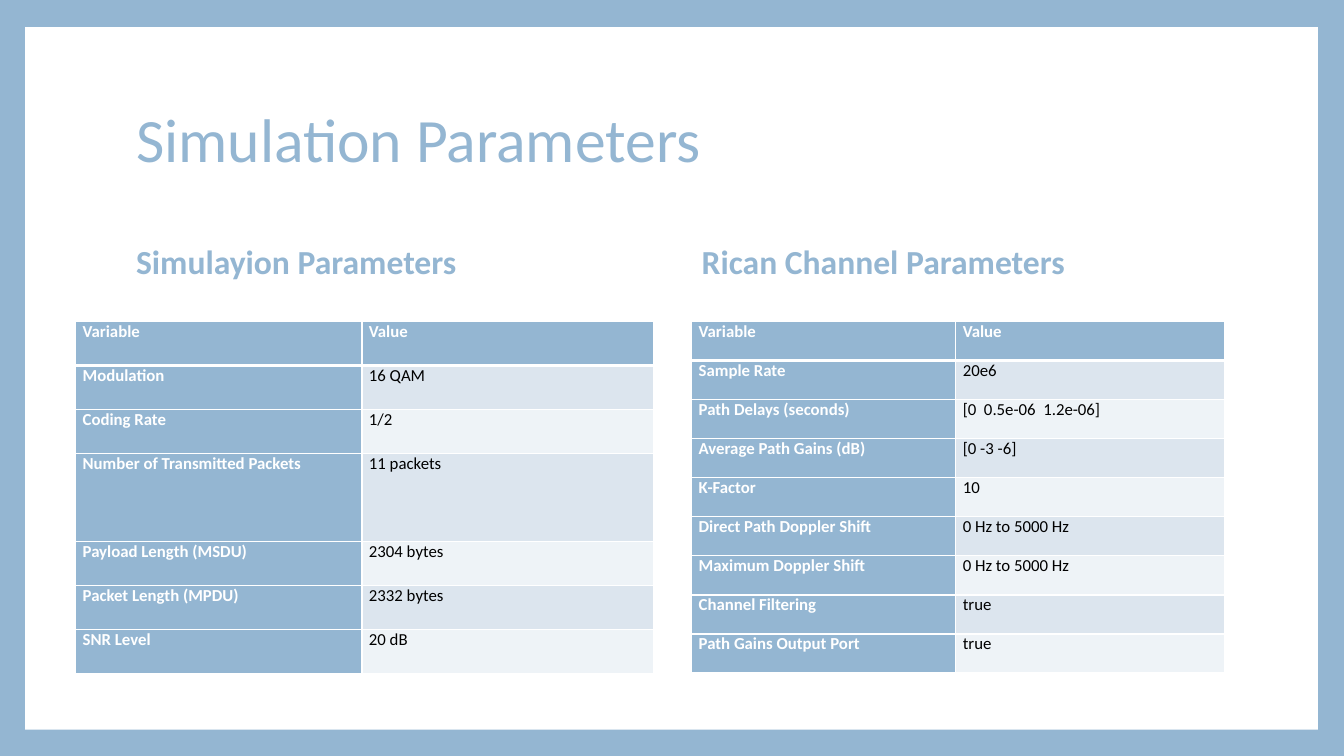
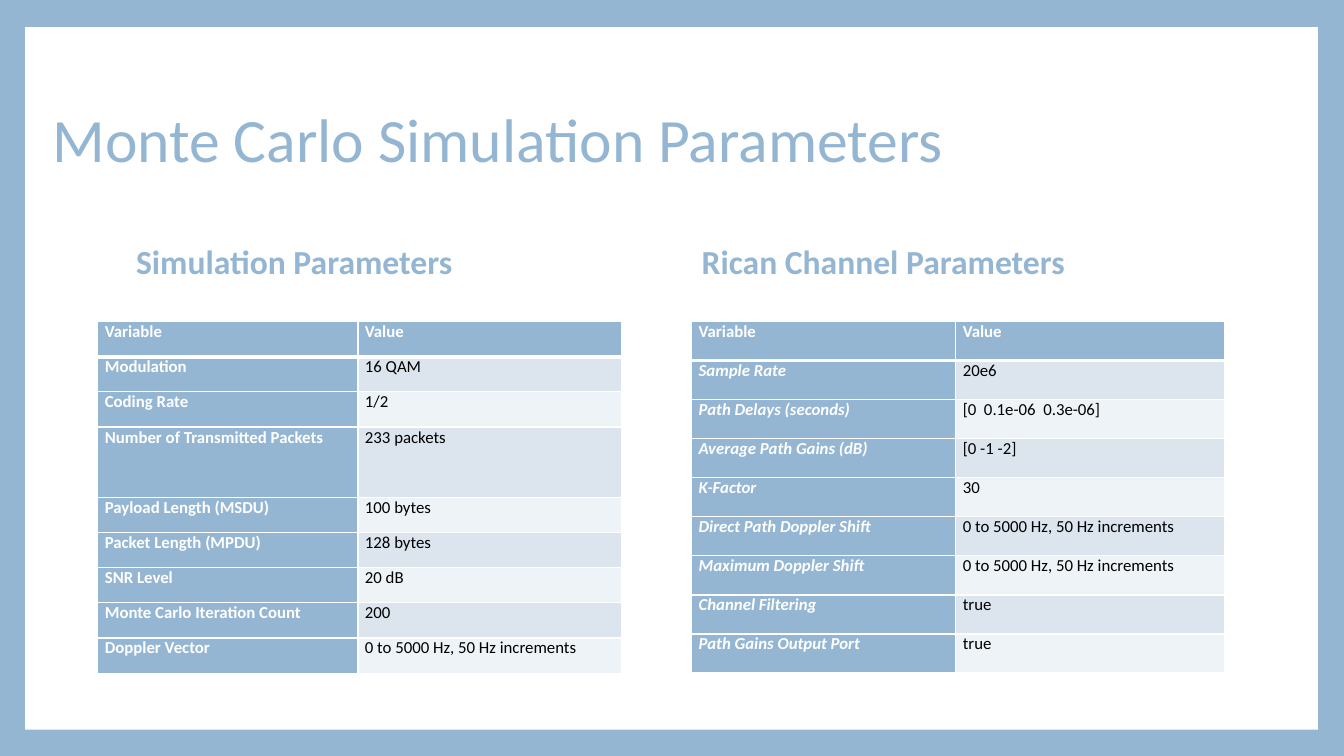
from lxml import etree
from pptx import Presentation
from pptx.dml.color import RGBColor
from pptx.enum.shapes import MSO_SHAPE
from pptx.enum.text import MSO_ANCHOR, MSO_AUTO_SIZE, PP_ALIGN
from pptx.oxml.ns import qn
from pptx.util import Inches, Pt

RECTANGLE = MSO_SHAPE.RECTANGLE
MIDDLE = MSO_ANCHOR.MIDDLE
NO_FIT = MSO_AUTO_SIZE.NONE
LEFT, JUSTIFY = PP_ALIGN.LEFT, PP_ALIGN.JUSTIFY

FONT = "Calibri"
COLORS = {
    "accent": "94B6D2",
    "panel": "FFFFFF",
    "text": "000000",
    "band_dark": "DCE5EE",
    "band_light": "EEF3F7",
}
RGB = {name: RGBColor.from_string(value) for name, value in COLORS.items()}
TABLE_TOP, TABLE_HEIGHT = 3.19, 3.49
TALL_ROW = "Number of Transmitted Packets"
CHANNEL_VARIABLES = [
    "Sample Rate", "Path Delays (seconds)", "Average Path Gains (dB)",
    "K-Factor", "Direct Path Doppler Shift", "Maximum Doppler Shift",
    "Channel Filtering", "Path Gains Output Port",
]
SWEEP = "0 to 5000 Hz, 50 Hz increments"

SLIDES = [
    {
        "title": "Simulation Parameters",
        "title_box": (1.25, 0.67, 10.8, 1.48),
        "headings": ["Simulayion Parameters", "Rican Channel Parameters"],
        "tables": [
            {
                "left": 0.75, "cols": (2.84, 2.89), "italic": False,
                "rows": [
                    ("Modulation", "16 QAM"),
                    ("Coding Rate", "1/2"),
                    (TALL_ROW, "11 packets"),
                    ("Payload Length (MSDU)", "2304 bytes"),
                    ("Packet Length (MPDU)", "2332 bytes"),
                    ("SNR Level", "20 dB"),
                ],
            },
            {
                "left": 6.86, "cols": (2.62, 2.67), "italic": False,
                "rows": list(zip(CHANNEL_VARIABLES, [
                    "20e6", "[0  0.5e-06  1.2e-06]", "[0 -3 -6]", "10",
                    "0 Hz to 5000 Hz", "0 Hz to 5000 Hz", "true", "true",
                ])),
            },
        ],
    },
    {
        "title": "Monte Carlo Simulation Parameters",
        "title_box": (0.42, 0.67, 12.72, 1.48),
        "headings": ["Simulation Parameters", "Rican Channel Parameters"],
        "tables": [
            {
                "left": 0.97, "cols": (2.58, 2.62), "italic": False,
                "rows": [
                    ("Modulation", "16 QAM"),
                    ("Coding Rate", "1/2"),
                    (TALL_ROW, "233 packets"),
                    ("Payload Length (MSDU)", "100 bytes"),
                    ("Packet Length (MPDU)", "128 bytes"),
                    ("SNR Level", "20 dB"),
                    ("Monte Carlo Iteration Count", "200"),
                    ("Doppler Vector", SWEEP),
                ],
            },
            {
                "left": 6.86, "cols": (2.62, 2.67), "italic": True,
                "rows": list(zip(CHANNEL_VARIABLES, [
                    "20e6", "[0  0.1e-06  0.3e-06]", "[0 -1 -2]", "30",
                    SWEEP, SWEEP, "true", "true",
                ])),
            },
        ],
    },
]


def set_heading(sp, text, box, size, bold):
    sp.left, sp.top, sp.width, sp.height = [Inches(v) for v in box]
    tf = sp.text_frame
    tf.text = text
    tf.word_wrap = True
    tf.auto_size = NO_FIT
    tf.vertical_anchor = MIDDLE
    p = tf.paragraphs[0]
    p.alignment = LEFT
    p.line_spacing = 0.9
    p.space_before = Pt(0)
    r = p.runs[0]
    r.font.name = FONT
    r.font.size = Pt(size)
    r.font.bold = bold
    r.font.color.rgb = RGB["accent"]


def set_cell(cell, text, row, col, italic):
    label = row == 0 or col == 0
    cell.margin_left = cell.margin_right = Inches(0.07)
    cell.margin_top = cell.margin_bottom = 0
    tc_pr = cell._tc.get_or_add_tcPr()
    widths = {"L": 1, "R": 1, "T": 3 if row == 1 else 1, "B": 3 if row == 0 else 1}
    for side, width in widths.items():
        ln = etree.SubElement(tc_pr, qn("a:ln" + side), w=str(Pt(width)))
        fill = etree.SubElement(ln, qn("a:solidFill"))
        etree.SubElement(fill, qn("a:srgbClr"), val=COLORS["panel"])
    band = "band_dark" if row % 2 else "band_light"
    cell.fill.solid()
    cell.fill.fore_color.rgb = RGB["accent" if label else band]
    cell.text_frame.text = text
    p = cell.text_frame.paragraphs[0]
    p.alignment = JUSTIFY
    r = p.runs[0]
    r.font.name = FONT
    r.font.size = Pt(12)
    r.font.bold = label
    r.font.italic = italic and row > 0 and col == 0
    r.font.color.rgb = RGB["panel" if label else "text"]


prs = Presentation()
prs.slide_width, prs.slide_height = Inches(13.33), Inches(7.5)
master = prs.slide_master
master.background.fill.solid()
master.background.fill.fore_color.rgb = RGB["accent"]
comparison = prs.slide_layouts.get_by_name("Comparison")

for number, content in enumerate(SLIDES):
    s = prs.slides.add_slide(comparison)
    if number == 0:
        panel = s.shapes.add_shape(
            RECTANGLE, Inches(0.25), Inches(0.27), Inches(12.82), Inches(6.97))
        panel.shadow.inherit = False
        panel.fill.solid()
        panel.fill.fore_color.rgb = RGB["panel"]
        panel.line.fill.background()
        master.shapes[0].element.addprevious(panel.element)

    title, left_heading, left_body, right_heading, right_body = s.placeholders
    for body in (left_body, right_body):
        body.element.getparent().remove(body.element)
    set_heading(title, content["title"], content["title_box"], 44, False)
    for sp, text, left in zip((left_heading, right_heading), content["headings"], (1.25, 6.86)):
        set_heading(sp, text, (left, 2.19, 5.2, 0.85), 24, True)

    for spec_table in content["tables"]:
        rows = [("Variable", "Value")] + spec_table["rows"]
        units = [2 if name == TALL_ROW else 1 for name, value in rows]
        table = s.shapes.add_table(
            len(rows), 2, Inches(spec_table["left"]), Inches(TABLE_TOP),
            Inches(sum(spec_table["cols"])), Inches(TABLE_HEIGHT)).table
        for column, width in zip(table.columns, spec_table["cols"]):
            column.width = Inches(width)
        for i, texts in enumerate(rows):
            table.rows[i].height = Inches(TABLE_HEIGHT * units[i] / sum(units))
            for j, text in enumerate(texts):
                set_cell(table.cell(i, j), text, i, j, spec_table["italic"])

prs.save("out.pptx")
